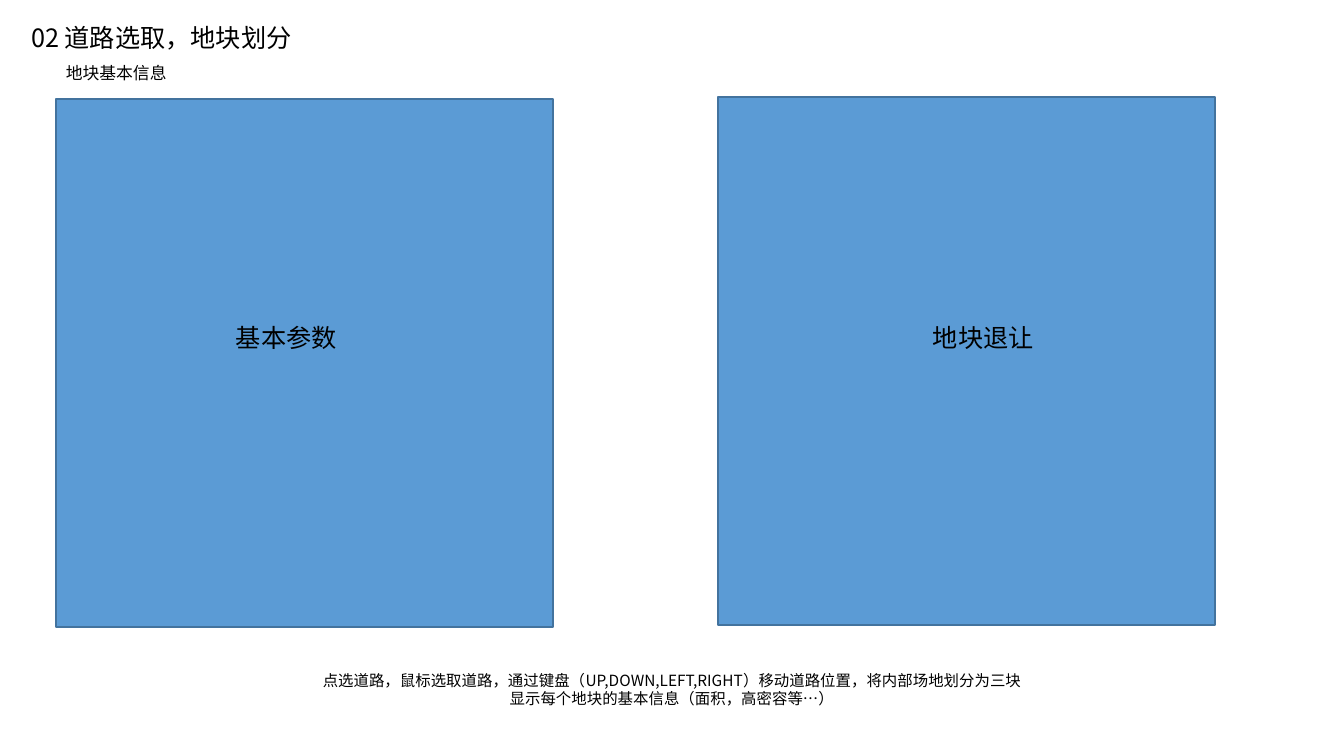
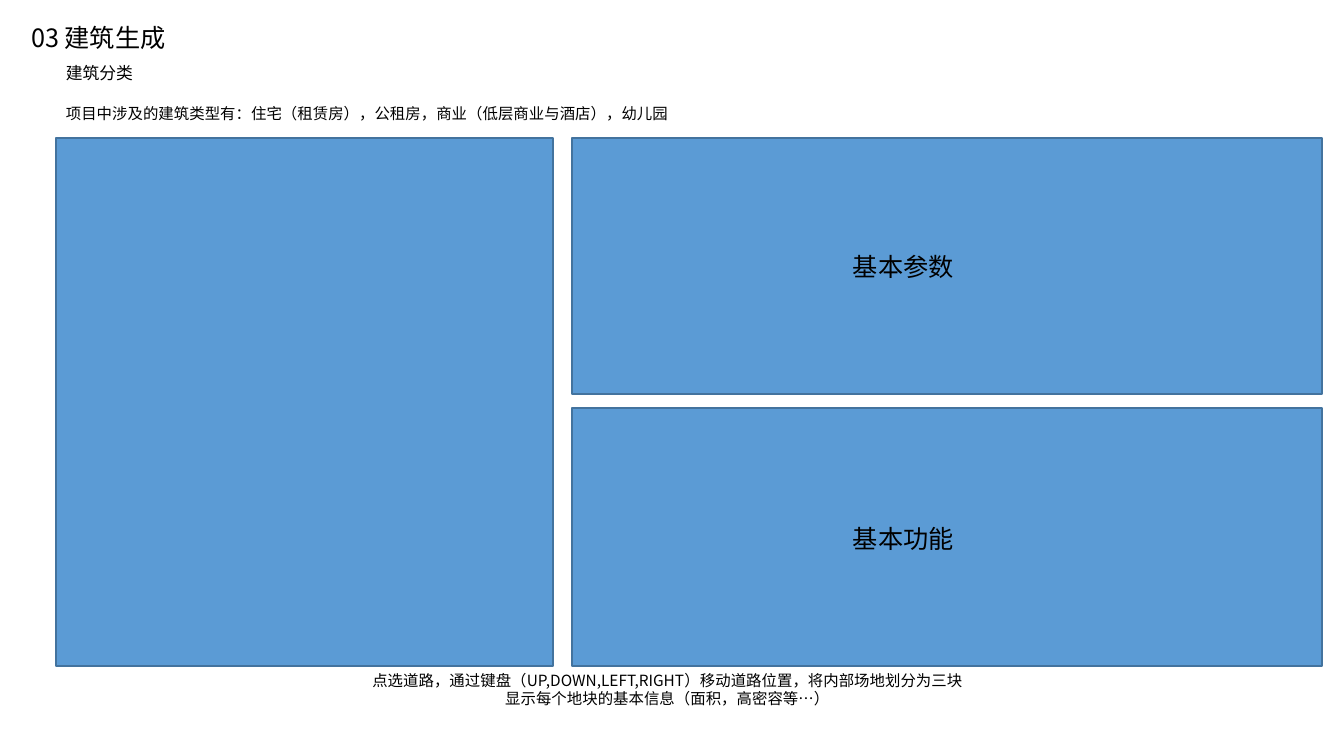
from dataclasses import dataclass

import pptx
import pptx.dml.color
import pptx.enum.shapes
import pptx.enum.text
import pptx.oxml.ns
import pptx.util
from lxml import etree

EMU_PER_PX = 914400 / 100.8
SLIDE_WIDTH, SLIDE_HEIGHT = 1344, 756
TITLE_ONLY_LAYOUT = 5

LEFT_MARGIN = 56
PANEL_WIDTH, PANEL_HEIGHT = 497, 528
LABEL_WIDTH, LABEL_HEIGHT = 158, 40
CAPTION_TOP, CAPTION_HEIGHT = 666, 47
DISPLAY_LINE = "显示每个地块的基本信息（面积，高密容等…）"


@dataclass(frozen=True)
class Theme:
    font: str = "Noto Sans CJK SC"
    text: str = "000000"
    panel_fill: str = "5B9BD5"
    panel_line: str = "43739E"
    panel_line_width: int = 1
    title_size: int = 18
    subtitle_size: int = 12
    note_size: int = 11


THEME = Theme()


def px(length):
    return pptx.util.Emu(round(length * EMU_PER_PX))


def rgb(code):
    return pptx.dml.color.RGBColor.from_string(code)


def place(shape, box):
    shape.left, shape.top, shape.width, shape.height = map(px, box)


def write(shape, lines, size, align=pptx.enum.text.PP_ALIGN.LEFT):
    frame = shape.text_frame
    frame.text = "\n".join(lines)
    frame.word_wrap = True
    frame.auto_size = pptx.enum.text.MSO_AUTO_SIZE.NONE
    frame.vertical_anchor = pptx.enum.text.MSO_ANCHOR.TOP
    for paragraph in frame.paragraphs:
        paragraph.alignment = align
        font = paragraph.font
        font.size = pptx.util.Pt(size)
        font.name = THEME.font
        font.color.rgb = rgb(THEME.text)
        # python-pptx sets only the Latin face; Chinese text needs the East Asian one.
        defaults = paragraph._p.pPr.find(pptx.oxml.ns.qn("a:defRPr"))
        latin = defaults.find(pptx.oxml.ns.qn("a:latin"))
        east_asian = etree.Element(pptx.oxml.ns.qn("a:ea"), typeface=THEME.font)
        latin.addnext(east_asian)


def add_text(slide, box, lines, size, align=pptx.enum.text.PP_ALIGN.LEFT):
    write(slide.shapes.add_textbox(*map(px, box)), lines, size, align)


def add_panel(slide, box):
    panel = slide.shapes.add_shape(
        pptx.enum.shapes.MSO_SHAPE.RECTANGLE, *map(px, box))
    panel.shadow.inherit = False
    panel.fill.solid()
    panel.fill.fore_color.rgb = rgb(THEME.panel_fill)
    panel.line.color.rgb = rgb(THEME.panel_line)
    panel.line.width = pptx.util.Pt(THEME.panel_line_width)


def add_label(slide, left, top, text):
    add_text(slide, (left, top, LABEL_WIDTH, LABEL_HEIGHT), [text], THEME.title_size)


def add_caption(slide, left, width, instruction):
    add_text(slide, (left, CAPTION_TOP, width, CAPTION_HEIGHT),
             [instruction, DISPLAY_LINE], THEME.note_size,
             pptx.enum.text.PP_ALIGN.CENTER)


def start_slide(deck, title, subtitle):
    slide = deck.slides.add_slide(deck.slide_layouts[TITLE_ONLY_LAYOUT])
    place(slide.shapes.title, (21, 17, 328, 40))
    write(slide.shapes.title, [title], THEME.title_size)
    add_text(slide, (LEFT_MARGIN, 58, 229, 30), [subtitle], THEME.subtitle_size)
    return slide


def build_plot_slide(deck):
    slide = start_slide(deck, "02 道路选取，地块划分", "地块基本信息")
    add_caption(slide, 0, SLIDE_WIDTH,
                "点选道路，鼠标选取道路，通过键盘（UP,DOWN,LEFT,RIGHT）移动道路位置，将内部场地划分为三块")
    for left, top, label_left, label in (
            (LEFT_MARGIN, 99, 226, "基本参数"),
            (718, 97, 923, "地块退让")):
        add_panel(slide, (left, top, PANEL_WIDTH, PANEL_HEIGHT))
        add_label(slide, label_left, 317, label)


def build_building_slide(deck):
    slide = start_slide(deck, "03 建筑生成", "建筑分类")
    add_caption(slide, 334, 667,
                "点选道路，通过键盘（UP,DOWN,LEFT,RIGHT）移动道路位置，将内部场地划分为三块")
    add_text(slide, (LEFT_MARGIN, 99, 667, 29),
             ["项目中涉及的建筑类型有：住宅（租赁房），公租房，商业（低层商业与酒店），幼儿园"],
             THEME.note_size)
    add_panel(slide, (LEFT_MARGIN, 138, PANEL_WIDTH, PANEL_HEIGHT))
    for top, height, label_top, label in (
            (138, 256, 246, "基本参数"),
            (408, 258, 518, "基本功能")):
        add_panel(slide, (572, top, 750, height))
        add_label(slide, 843, label_top, label)


def main():
    deck = pptx.Presentation()
    deck.slide_width, deck.slide_height = px(SLIDE_WIDTH), px(SLIDE_HEIGHT)
    build_plot_slide(deck)
    build_building_slide(deck)
    deck.save("out.pptx")


if __name__ == "__main__":
    main()
